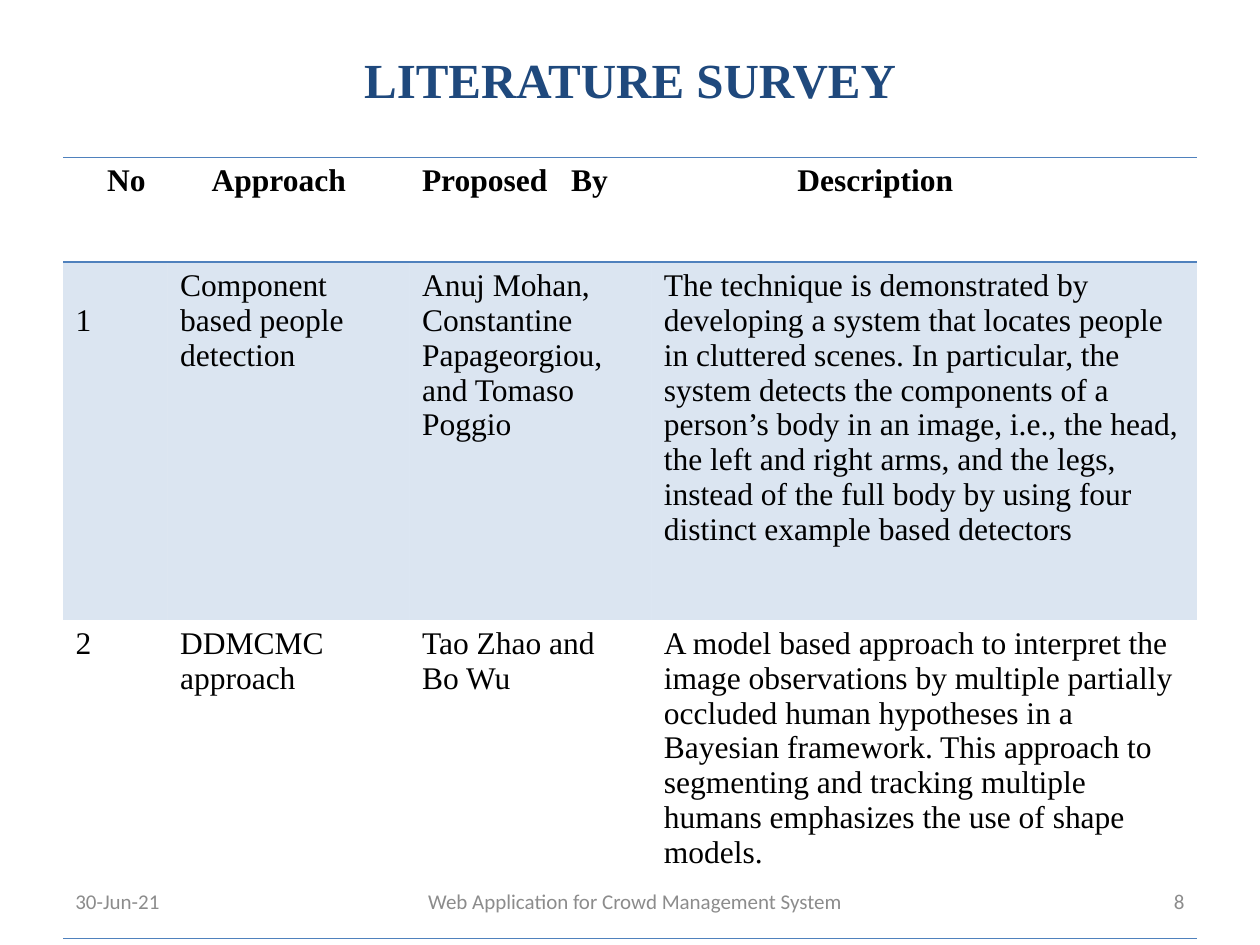
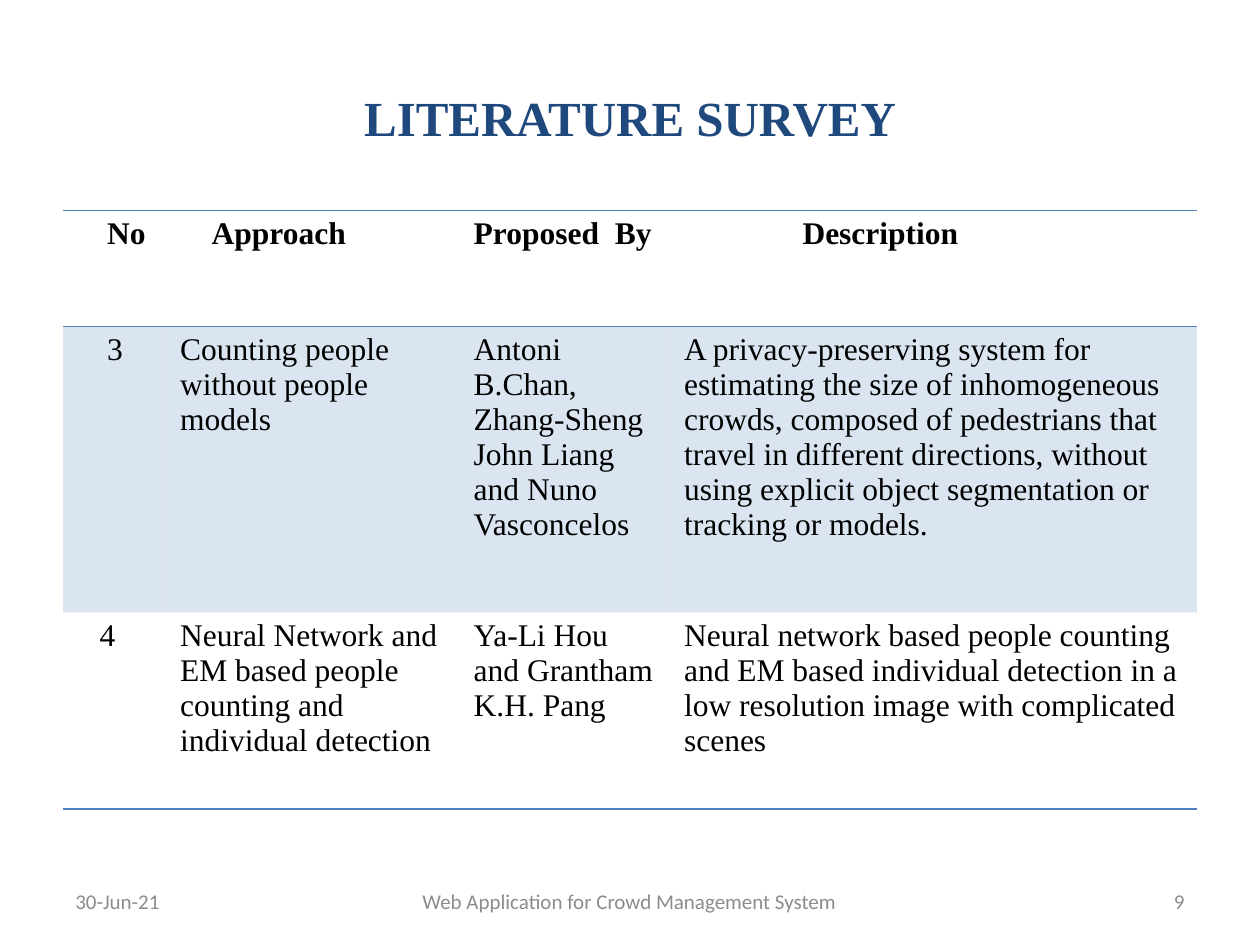
from dataclasses import dataclass

from lxml import etree
from pptx import Presentation
from pptx.dml.color import RGBColor
from pptx.enum.text import MSO_ANCHOR, PP_ALIGN
from pptx.oxml.ns import qn
from pptx.util import Inches, Pt

LEFT, CENTER, RIGHT = PP_ALIGN.LEFT, PP_ALIGN.CENTER, PP_ALIGN.RIGHT
MIDDLE = MSO_ANCHOR.MIDDLE
TITLE_ONLY = 5
PLAIN_TABLE_STYLE = "{2D5ABB26-0587-4C30-8999-92F81FD0307C}"


@dataclass(frozen=True)
class Theme:
    serif: str = "Times New Roman"
    sans: str = "Calibri"
    heading: str = "1F497D"
    ink: str = "000000"
    muted: str = "8C8C8C"
    accent: str = "4F81BD"
    band_opacity: int = 20
    rule_width: float = 1
    title_size: int = 28
    table_size: int = 18
    footer_size: int = 12


THEME = Theme()
TITLE_FONT = dict(name=THEME.serif, size=Pt(THEME.title_size), bold=True)
HEADER_FONT = dict(name=THEME.serif, size=Pt(THEME.table_size), bold=True)
ENTRY_FONT = dict(HEADER_FONT, bold=False)
FOOTER_FONT = dict(name=THEME.sans, size=Pt(THEME.footer_size), bold=False)


@dataclass(frozen=True)
class Entry:
    """Text of a cell, its indent and drop in inches, and extra word gap in points."""
    text: str
    indent: float = 0
    drop: float = 0
    word_gap: float = 0


@dataclass(frozen=True)
class Survey:
    number: int
    title_top: float
    table_top: float
    columns: tuple
    row_heights: tuple
    rows: tuple
    footer_width: float


SURVEYS = (
    Survey(
        number=8, title_top=0, table_top=1.25,
        columns=(0.83, 1.92, 1.92, 4.33), row_heights=(0.83, 2.84, 2.53),
        footer_width=3.92,
        rows=(
            (Entry("No", indent=0.25), Entry("Approach", indent=0.25),
             Entry("Proposed By", word_gap=9), Entry("Description", indent=1.06)),
            (Entry("1", drop=0.28),
             Entry("Component based people detection"),
             Entry("Anuj Mohan, Constantine Papageorgiou, and Tomaso Poggio"),
             Entry("The technique is demonstrated by developing a system that "
                   "locates people in cluttered scenes. In particular, the system "
                   "detects the components of a person’s body in an image, i.e., "
                   "the head, the left and right arms, and the legs, instead of "
                   "the full body by using four distinct example based detectors")),
            (Entry("2"), Entry("DDMCMC approach"), Entry("Tao Zhao and Bo Wu"),
             Entry("A model based approach to interpret the image observations by "
                   "multiple partially occluded human hypotheses in a Bayesian "
                   "framework. This approach to segmenting and tracking multiple "
                   "humans emphasizes the use of shape models.")),
        )),
    Survey(
        number=9, title_top=0.3, table_top=1.67,
        columns=(0.83, 2.33, 1.67, 4.17), row_heights=(0.92, 2.27, 1.56),
        footer_width=3.83,
        rows=(
            (Entry("No", indent=0.25), Entry("Approach", indent=0.25),
             Entry("Proposed By", word_gap=4.5), Entry("Description", indent=0.94)),
            (Entry("3", indent=0.25),
             Entry("Counting people without people models"),
             Entry("Antoni B.Chan, Zhang-Sheng John Liang and Nuno Vasconcelos"),
             Entry("A privacy-preserving system for estimating the size of "
                   "inhomogeneous crowds, composed of pedestrians that travel in "
                   "different directions, without using explicit object "
                   "segmentation or tracking or models.")),
            (Entry("4", indent=0.19),
             Entry("Neural Network and EM based people counting and individual "
                   "detection"),
             Entry("Ya-Li Hou and Grantham K.H. Pang"),
             Entry("Neural network based people counting and EM based individual "
                   "detection in a low resolution image with complicated scenes")),
        )),
)


def add_run(paragraph, text, font, color):
    run = paragraph.add_run()
    run.text = text
    for attribute, value in font.items():
        setattr(run.font, attribute, value)
    run.font.color.rgb = RGBColor.from_string(color)
    return run


def place(shape, box):
    for side, length in zip(("left", "top", "width", "height"), box):
        setattr(shape, side, Inches(length))


def add_title(slide, box):
    title = slide.shapes.title
    place(title, box)
    title.text_frame.vertical_anchor = MIDDLE
    paragraph = title.text_frame.paragraphs[0]
    paragraph.alignment = CENTER
    add_run(paragraph, "LITERATURE SURVEY", TITLE_FONT, THEME.heading)


def draw_rule(cell, edge):
    """Draw one cell border; edge is lnT or lnB."""
    line = etree.SubElement(cell._tc.get_or_add_tcPr(), qn(f"a:{edge}"),
                            w=str(Pt(THEME.rule_width)))
    fill = etree.SubElement(line, qn("a:solidFill"))
    etree.SubElement(fill, qn("a:srgbClr"), val=THEME.accent)


def shade(cell):
    cell.fill.solid()
    cell.fill.fore_color.rgb = RGBColor.from_string(THEME.accent)
    color = cell._tc.tcPr.find(f"{qn('a:solidFill')}/{qn('a:srgbClr')}")
    etree.SubElement(color, qn("a:alpha"), val=str(THEME.band_opacity * 1000))


def write_entry(cell, entry, font):
    cell.margin_top = Inches(0.05 + entry.drop)
    paragraph = cell.text_frame.paragraphs[0]
    if entry.indent:
        paragraph._p.get_or_add_pPr().set("marL", str(Inches(entry.indent)))
    if not entry.word_gap:
        add_run(paragraph, entry.text, font, THEME.ink)
        return
    first, second = entry.text.split()
    add_run(paragraph, first, font, THEME.ink)
    space = add_run(paragraph, " ", font, THEME.ink)
    space.font._element.set("spc", str(int(entry.word_gap * 100)))
    add_run(paragraph, second, font, THEME.ink)


def add_survey_table(slide, survey, left, top):
    frame = slide.shapes.add_table(
        len(survey.rows), len(survey.columns), Inches(left), Inches(top),
        Inches(sum(survey.columns)), Inches(sum(survey.row_heights)))
    table = frame.table
    next(frame.element.iter(qn("a:tableStyleId"))).text = PLAIN_TABLE_STYLE
    for column, width in zip(table.columns, survey.columns):
        column.width = Inches(width)
    for row, height in zip(table.rows, survey.row_heights):
        row.height = Inches(height)

    last = len(survey.rows) - 1
    for r, entries in enumerate(survey.rows):
        for c, entry in enumerate(entries):
            cell = table.cell(r, c)
            write_entry(cell, entry, ENTRY_FONT if r else HEADER_FONT)
            if r == 0:
                draw_rule(cell, "lnT")
            if r in (0, last):
                draw_rule(cell, "lnB")
            if r % 2:
                shade(cell)
            else:
                cell.fill.background()


def add_footer(slide, survey, top):
    parts = (
        ("30-Jun-21", 0.5, 2.33, LEFT),
        (str(survey.number), 7.17, 2.33, RIGHT),
        ("Web Application for Crowd Management System", 3.08,
         survey.footer_width, CENTER),
    )
    for text, left, width, alignment in parts:
        box = slide.shapes.add_textbox(
            Inches(left), Inches(top), Inches(width), Inches(0.4))
        box.text_frame.word_wrap = True
        box.text_frame.vertical_anchor = MIDDLE
        paragraph = box.text_frame.paragraphs[0]
        paragraph.alignment = alignment
        add_run(paragraph, text, FOOTER_FONT, THEME.muted)


def add_survey_slide(presentation, survey):
    slide = presentation.slides.add_slide(presentation.slide_layouts[TITLE_ONLY])
    add_title(slide, (0.5, survey.title_top, 9, 1.25))
    add_survey_table(slide, survey, 0.5, survey.table_top)
    add_footer(slide, survey, 6.95)


def main():
    presentation = Presentation()
    presentation.slide_width = Inches(10)
    presentation.slide_height = Inches(7.5)
    for survey in SURVEYS:
        add_survey_slide(presentation, survey)
    presentation.save("out.pptx")


if __name__ == "__main__":
    main()
